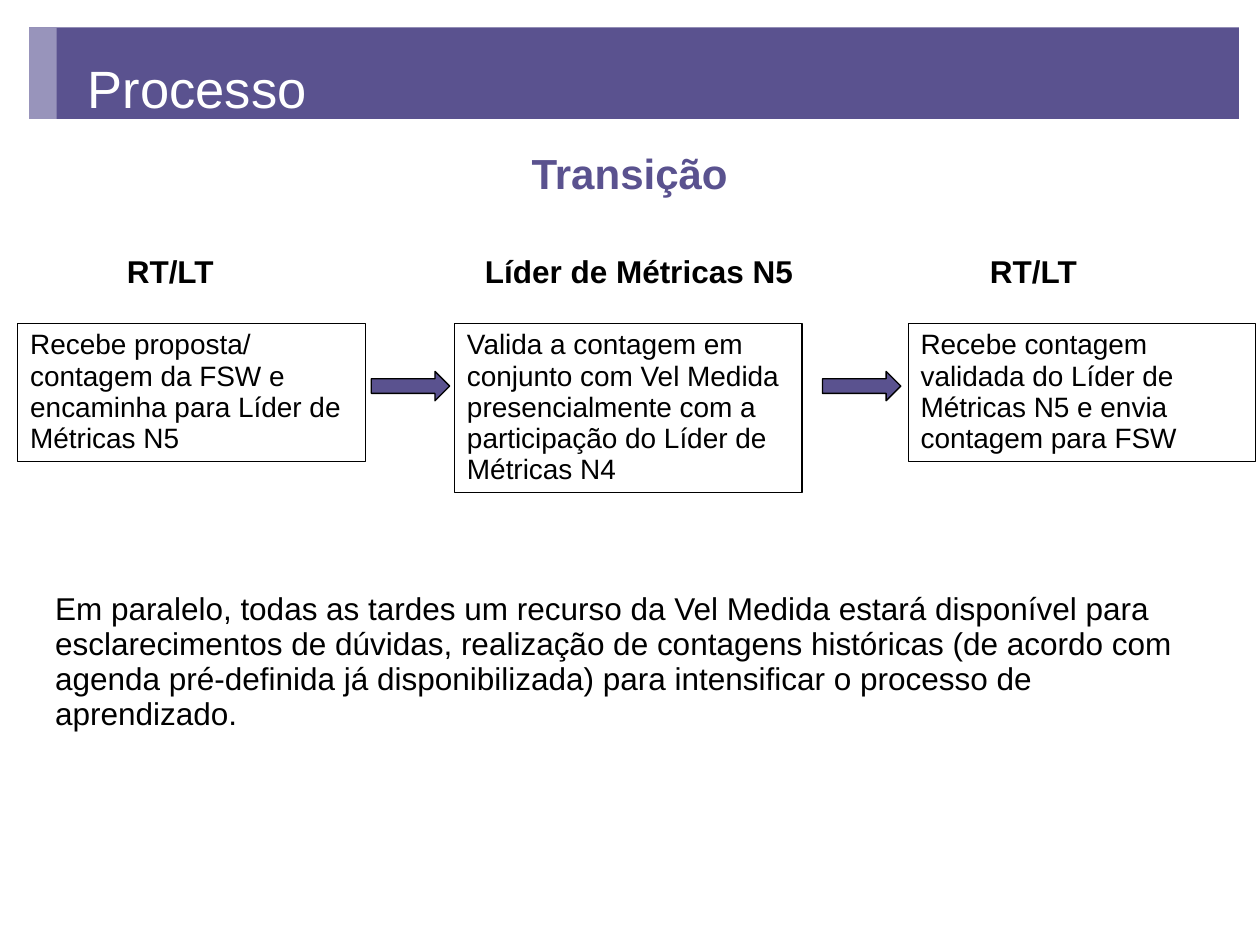
import pptx
import pptx.dml.color
import pptx.enum.shapes
import pptx.enum.text
import pptx.util

PURPLE, LILAC, BLACK, WHITE = "5A528F", "9894BB", "000000", "FFFFFF"
Pt = pptx.util.Pt
Shape = pptx.enum.shapes.MSO_SHAPE
Align = pptx.enum.text.PP_ALIGN


def color(value):
    return pptx.dml.color.RGBColor.from_string(value)


def write(shape, text, size=18, ink=BLACK, bold=False, align=Align.LEFT, spacing=0.93):
    frame = shape.text_frame
    frame.word_wrap = True
    frame.auto_size = pptx.enum.text.MSO_AUTO_SIZE.NONE
    frame.vertical_anchor = pptx.enum.text.MSO_ANCHOR.TOP
    frame.margin_left = frame.margin_right = Pt(7.2)
    frame.margin_top = frame.margin_bottom = Pt(3.6)
    paragraph = frame.paragraphs[0]
    paragraph.text = text
    paragraph.alignment = align
    paragraph.line_spacing = spacing
    font = paragraph.font
    font.name, font.size, font.bold = "Arial", Pt(size), bold
    font.color.rgb = color(ink)


class ProcessSlide:
    """Holds the style and the current slide, and draws its elements."""

    def __init__(self, presentation):
        self.slide = presentation.slides.add_slide(presentation.slide_layouts[5])
        self.line_width = Pt(0.75)

    def shape(self, kind, left, top, width, height, fill=None, line=None):
        shape = self.slide.shapes.add_shape(kind, Pt(left), Pt(top), Pt(width), Pt(height))
        shape.shadow.inherit = False
        if fill:
            shape.fill.solid()
            shape.fill.fore_color.rgb = color(fill)
        else:
            shape.fill.background()
        if line:
            shape.line.color.rgb = color(line)
            shape.line.width = self.line_width
        else:
            shape.line.fill.background()
        return shape

    def title(self, text, left, top, width, height):
        title = self.slide.shapes.title
        title.left, title.top, title.width, title.height = map(Pt, (left, top, width, height))
        write(title, text, size=30, ink=WHITE, spacing=1.0)

    def band(self, left, width, fill):
        band = self.shape(Shape.RECTANGLE, left, 15.6, width, 52.4, fill=fill)
        self.slide.shapes.title.element.addprevious(band.element)

    def text(self, text, left, top, width, height, **style):
        box = self.slide.shapes.add_textbox(Pt(left), Pt(top), Pt(width), Pt(height))
        write(box, text, **style)

    def step(self, text, left, height):
        box = self.shape(Shape.RECTANGLE, left, 185, 198.6, height, line=BLACK)
        write(box, text, size=16)

    def arrow(self, left):
        self.shape(Shape.RIGHT_ARROW, left, 212.2, 44.8, 16.8, fill=PURPLE, line=BLACK)


def main():
    presentation = pptx.Presentation()
    presentation.slide_width, presentation.slide_height = Pt(720), Pt(540)
    page = ProcessSlide(presentation)
    page.title("Processo", 43, 28.4, 594, 43.2)
    page.band(16.6, 691.4, PURPLE)
    page.band(16.6, 15.8, LILAC)
    page.text("Transição", 19.6, 83.2, 680.4, 34, size=24, ink=PURPLE, bold=True, align=Align.CENTER)

    steps = [
        ("RT/LT", 65.4, 68, 10.2, 78.6,
         "Recebe proposta/ contagem da FSW e encaminha para Líder de Métricas N5"),
        ("Líder de Métricas N5", 270, 198, 259.8, 96.4,
         "Valida a contagem em conjunto com Vel Medida presencialmente com a "
         "participação do Líder de Métricas N4"),
        ("RT/LT", 558.6, 68, 519, 78.6,
         "Recebe contagem validada do Líder de Métricas N5 e envia contagem para FSW"),
    ]
    for role, role_left, role_width, left, height, task in steps:
        page.text(role, role_left, 142.2, role_width, 27.4, bold=True)
        page.step(task, left, height)
    for left in (212.2, 470):
        page.arrow(left)

    page.text(
        "Em paralelo, todas as tardes um recurso da Vel Medida estará disponível para "
        "esclarecimentos de dúvidas, realização de contagens históricas (de acordo com "
        "agenda pré-definida já disponibilizada) para intensificar o processo de aprendizado.",
        24.4, 334.8, 655.2, 87.8)
    presentation.save("out.pptx")


if __name__ == "__main__":
    main()
